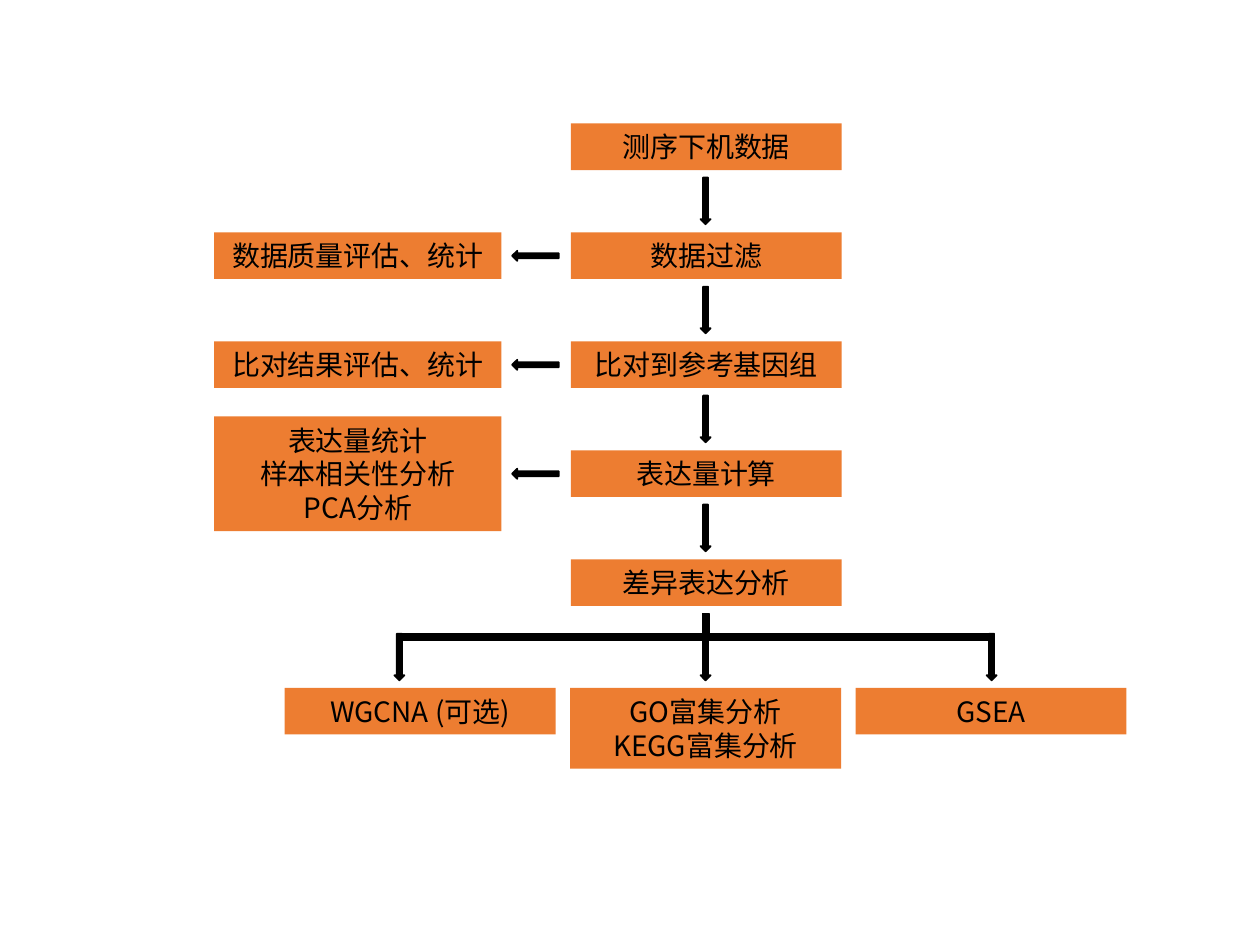
from pptx import Presentation
from pptx.dml.color import RGBColor
from pptx.enum.shapes import MSO_SHAPE
from pptx.enum.text import MSO_ANCHOR, PP_ALIGN
from pptx.util import Inches, Pt
from lxml import etree

RECT, DOWN = MSO_SHAPE.RECTANGLE, MSO_SHAPE.DOWN_ARROW
CENTER, MIDDLE = PP_ALIGN.CENTER, MSO_ANCHOR.MIDDLE
FONT = "Noto Sans CJK SC"
ORANGE, BLACK = "ED7D31", "000000"
A = "{http://schemas.openxmlformats.org/drawingml/2006/main}"

STEPS = [
    ("测序下机数据", []),
    ("数据过滤", ["数据质量评估、统计"]),
    ("比对到参考基因组", ["比对结果评估、统计"]),
    ("表达量计算", ["表达量统计", "样本相关性分析", "PCA分析"]),
    ("差异表达分析", []),
]
OUTCOMES = [
    (["WGCNA (可选)"], 3.17),
    (["GO富集分析", "KEGG富集分析"], 5.6),
    (["GSEA"], 7.87),
]

MAIN_X, MAIN_W = 4.53, 2.15
MAIN_CENTER = 5.6
REPORT_X, REPORT_W = 1.7, 2.28
FIRST_Y, STEP_PITCH = 0.98, 0.865
OUTCOME_X, OUTCOME_Y, OUTCOME_PITCH = 2.26, 5.46, 2.265
LINE_H, PADDING = 0.27, 0.1
STEP_H = LINE_H + PADDING
ARROW_W, ARROW_H, ARROW_GAP = 0.08, 0.37, 0.06
BRANCH_Y, STEM_Y, BAR = 5.03, 4.87, 0.05

prs = Presentation()
prs.slide_width, prs.slide_height = Inches(10), Inches(7.5)
slide = prs.slides.add_slide(prs.slide_layouts[6])


def color(value):
    return RGBColor.from_string(value)


def add_block(kind, x, y, w, h, fill):
    block = slide.shapes.add_shape(kind, Inches(x), Inches(y), Inches(w), Inches(h))
    block.shadow.inherit = False
    block.fill.solid()
    block.fill.fore_color.rgb = color(fill)
    return block


def add_box(lines, x, y, w):
    box = add_block(RECT, x, y, w, PADDING + LINE_H * len(lines), ORANGE)
    box.line.fill.background()
    frame = box.text_frame
    layout = {"word_wrap": True, "vertical_anchor": MIDDLE,
              "margin_top": Inches(0.05), "margin_bottom": Inches(0.05)}
    for name, value in layout.items():
        setattr(frame, name, value)
    frame.text = "\n".join(lines)
    for paragraph in frame.paragraphs:
        paragraph.alignment = CENTER
        font = paragraph.runs[0].font
        for name, value in {"size": Pt(16), "name": FONT}.items():
            setattr(font, name, value)
        font.color.rgb = color(BLACK)
        properties = paragraph.runs[0]._r.get_or_add_rPr()
        etree.SubElement(properties, A + "ea", typeface=FONT)


def add_black(kind, x, y, w, h, rotation=0):
    part = add_block(kind, x, y, w, h, BLACK)
    part.line.color.rgb = color(BLACK)
    part.line.width = Pt(1)
    part.rotation = rotation


def add_arrow(center_x, y, rotation=0):
    add_black(DOWN, center_x - ARROW_W / 2, y, ARROW_W, ARROW_H, rotation)


for row, (step, reports) in enumerate(STEPS):
    y = FIRST_Y + row * STEP_PITCH
    add_box([step], MAIN_X, y, MAIN_W)
    if row < len(STEPS) - 1:
        add_arrow(MAIN_CENTER, y + STEP_H + ARROW_GAP)
    if reports:
        add_box(reports, REPORT_X, y - LINE_H * (len(reports) - 1) / 2, REPORT_W)
        add_arrow(4.25, y, 90)

left, right = OUTCOMES[0][1], OUTCOMES[-1][1]
add_black(RECT, MAIN_CENTER - BAR / 2, STEM_Y, BAR, BRANCH_Y - STEM_Y)
add_black(RECT, left, BRANCH_Y, right - left, BAR)
for column, (lines, arrow_x) in enumerate(OUTCOMES):
    add_box(lines, OUTCOME_X + column * OUTCOME_PITCH, OUTCOME_Y, MAIN_W)
    add_arrow(arrow_x, BRANCH_Y)

prs.save("out.pptx")
